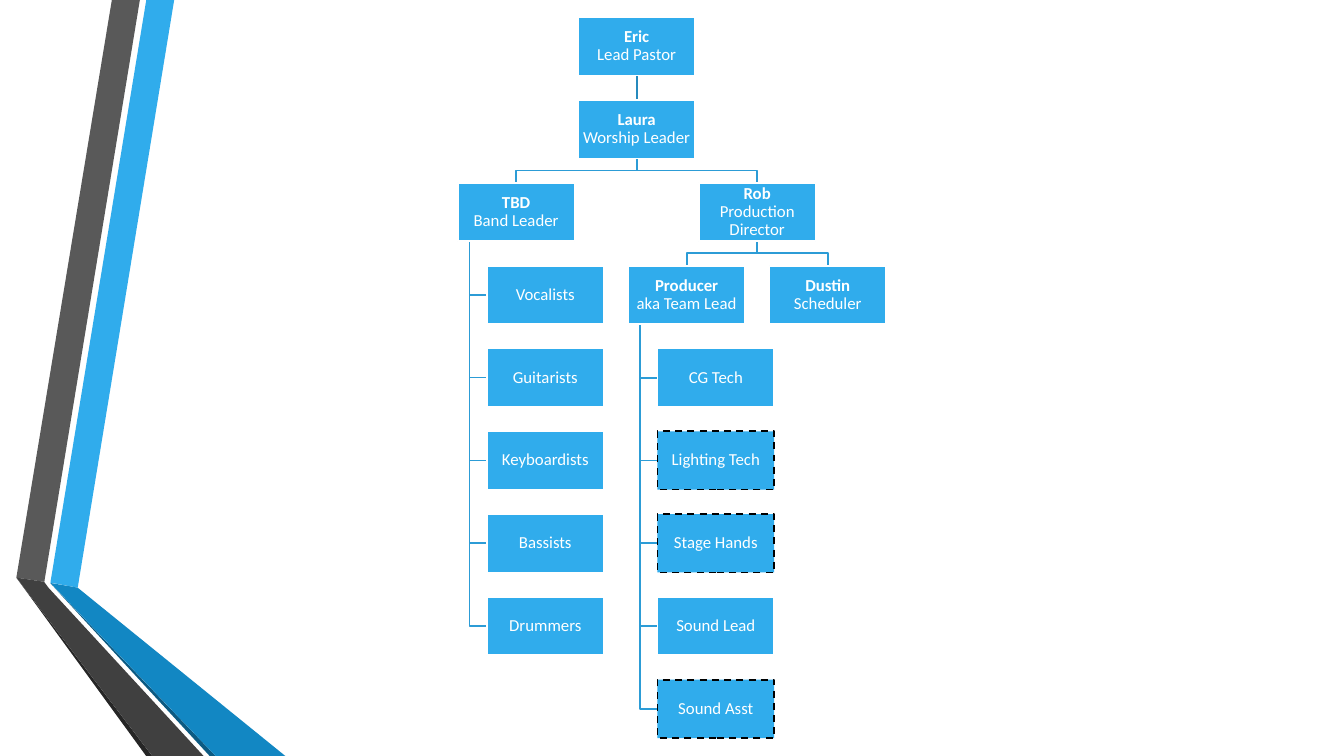
from dataclasses import dataclass
from typing import Iterator, Optional

from lxml import etree
from pptx import Presentation
from pptx.dml.color import RGBColor
from pptx.enum.dml import MSO_LINE
from pptx.enum.shapes import MSO_CONNECTOR, MSO_SHAPE
from pptx.enum.text import MSO_ANCHOR, PP_ALIGN
from pptx.oxml.ns import qn
from pptx.util import Pt

RECT, STRAIGHT, DASH = MSO_SHAPE.RECTANGLE, MSO_CONNECTOR.STRAIGHT, MSO_LINE.DASH
MIDDLE, CENTER = MSO_ANCHOR.MIDDLE, PP_ALIGN.CENTER

BLUE = RGBColor(0x30, 0xAC, 0xEC)
BLUE_MID = RGBColor(0x12, 0x87, 0xC3)
BLUE_DARK = RGBColor(0x0C, 0x5A, 0x82)
GREY = RGBColor(0x59, 0x59, 0x59)
GREY_MID = RGBColor(0x40, 0x40, 0x40)
GREY_DARK = RGBColor(0x26, 0x26, 0x26)
BRANCH = RGBColor(0x2C, 0x9C, 0xD6)
TOP_BRANCH = RGBColor(0x26, 0x8A, 0xBD)
WHITE = RGBColor(0xFF, 0xFF, 0xFF)
BLACK = RGBColor(0x00, 0x00, 0x00)

# Chart grid, in points
BOX_W, BOX_H = 83.4, 41.7
ROW_PITCH = 59.15
TOP, CENTER_X = 12.3, 454.8
TRUNK = BOX_W / 10      # trunk of a stacked team, from the leader's left edge
INDENT = BOX_W / 4      # left edge of a stacked team, from the same edge
LINE_W = 1.25

Point = tuple[float, float]


@dataclass
class Role:
    title: str
    name: str = ""
    dashed: bool = False
    team: tuple["Role", ...] = ()
    spread: float = 0       # distance between reports; 0 stacks them
    x: float = 0
    y: float = 0


@dataclass(frozen=True)
class Ribbon:
    color: RGBColor
    points: tuple[Point, ...]


RIBBONS = (
    Ribbon(BLUE, ((36, 416.2), (55.5, 419.8), (124.4, 0), (104.5, 0))),
    Ribbon(GREY, ((99.9, 0), (79.9, 0), (11.7, 412.6), (31.7, 415.6))),
    Ribbon(GREY_DARK, ((11.7, 412.6), (104.4, 540), (108.7, 540))),
    Ribbon(BLUE_DARK, ((36, 416.6), (149.8, 540), (154.1, 540))),
    Ribbon(BLUE_MID, ((36, 416.4), (154.1, 540), (203.8, 540), (55.5, 419.8))),
    Ribbon(GREY_MID, ((145.4, 540), (34.6, 419.8), (31.5, 415.6),
                      (11.7, 412.6), (108.7, 540))),
)

BAND = tuple(Role(title) for title in
             ("Vocalists", "Guitarists", "Keyboardists", "Bassists", "Drummers"))
CREW = (Role("CG Tech"), Role("Lighting Tech", dashed=True),
        Role("Stage Hands", dashed=True), Role("Sound Lead"),
        Role("Sound Asst", dashed=True))
PRODUCTION = (Role("aka Team Lead", "Producer", team=CREW), Role("Scheduler", "Dustin"))
LEADERS = (Role("Band Leader", "TBD", team=BAND),
           Role("Production Director", "Rob", team=PRODUCTION, spread=100.8))
WORSHIP = Role("Worship Leader", "Laura", team=LEADERS, spread=172.2)
PASTOR = Role("Lead Pastor", "Eric", team=(WORSHIP,), spread=BOX_W)


def place(role: Role, x: float, y: float) -> None:
    """Set the top left corner of a role and of everyone below it."""
    role.x, role.y = x, y
    middle = (len(role.team) - 1) / 2
    for i, report in enumerate(role.team):
        if role.spread:
            place(report, x + (i - middle) * role.spread, y + ROW_PITCH)
        else:
            place(report, x + INDENT, y + (i + 1) * ROW_PITCH)


def walk(role: Role) -> Iterator[Role]:
    yield role
    for report in role.team:
        yield from walk(report)


def add_path(points: tuple[Point, ...], fill: Optional[RGBColor] = None,
             line: Optional[RGBColor] = None) -> None:
    (x, y), *rest = [(Pt(px), Pt(py)) for px, py in points]
    builder = s.shapes.build_freeform(x, y)
    builder.add_line_segments(rest, close=fill is not None)
    sp = builder.convert_to_shape()
    sp.shadow.inherit = False
    if fill is None:
        sp.fill.background()
    else:
        sp.fill.solid()
        sp.fill.fore_color.rgb = fill
    if line is None:
        sp.line.fill.background()
    else:
        sp.line.color.rgb = line
        sp.line.width = Pt(LINE_W)


def add_straight(start: Point, end: Point, color: RGBColor) -> None:
    cx = s.shapes.add_connector(STRAIGHT, *(Pt(v) for v in start + end))
    cx.line.color.rgb = color
    cx.line.width = Pt(LINE_W)
    etree.SubElement(cx._element.spPr, qn("a:effectLst"))


def add_branch(leader: Role, report: Role) -> None:
    bottom = leader.y + BOX_H
    if not leader.spread:
        trunk, level = leader.x + TRUNK, report.y + BOX_H / 2
        add_path(((trunk, bottom), (trunk, level), (report.x, level)), line=BRANCH)
        return
    start, end = leader.x + BOX_W / 2, report.x + BOX_W / 2
    if start == end:
        add_straight((start, bottom), (end, report.y), TOP_BRANCH)
    else:
        bend = (bottom + report.y) / 2
        add_path(((start, bottom), (start, bend), (end, bend), (end, report.y)),
                 line=BRANCH)


def add_run(p, text: str, *, size: float = 12, bold: bool = False,
            color: RGBColor = WHITE, font: str = "Calibri") -> None:
    r = p.add_run()
    r.text = text
    r.font.name, r.font.size, r.font.bold = font, Pt(size), bold
    r.font.color.rgb = color


def add_box(role: Role) -> None:
    sp = s.shapes.add_shape(RECT, Pt(role.x), Pt(role.y), Pt(BOX_W), Pt(BOX_H))
    sp.shadow.inherit = False
    sp.fill.solid()
    sp.fill.fore_color.rgb = BLUE
    sp.line.color.rgb = BLACK if role.dashed else WHITE
    sp.line.width = Pt(LINE_W)
    if role.dashed:
        sp.line.dash_style = DASH
    tf = sp.text_frame
    tf.word_wrap = True
    tf.vertical_anchor = MIDDLE
    tf.margin_left = tf.margin_right = tf.margin_top = tf.margin_bottom = Pt(0.6)
    p = tf.paragraphs[0]
    p.alignment = CENTER
    p.line_spacing = 0.9
    if role.name:
        add_run(p, role.name, bold=True)
        p.add_line_break()
    add_run(p, role.title)


prs = Presentation()
prs.slide_width, prs.slide_height = Pt(960), Pt(540)
s = prs.slides.add_slide(prs.slide_layouts[6])

# Folded ribbons on the left
for ribbon in RIBBONS:
    add_path(ribbon.points, fill=ribbon.color)

# Organisation chart: branches behind, boxes in front
place(PASTOR, CENTER_X - BOX_W / 2, TOP)
for role in walk(PASTOR):
    for report in role.team:
        add_branch(role, report)
for role in walk(PASTOR):
    add_box(role)

prs.save("out.pptx")
